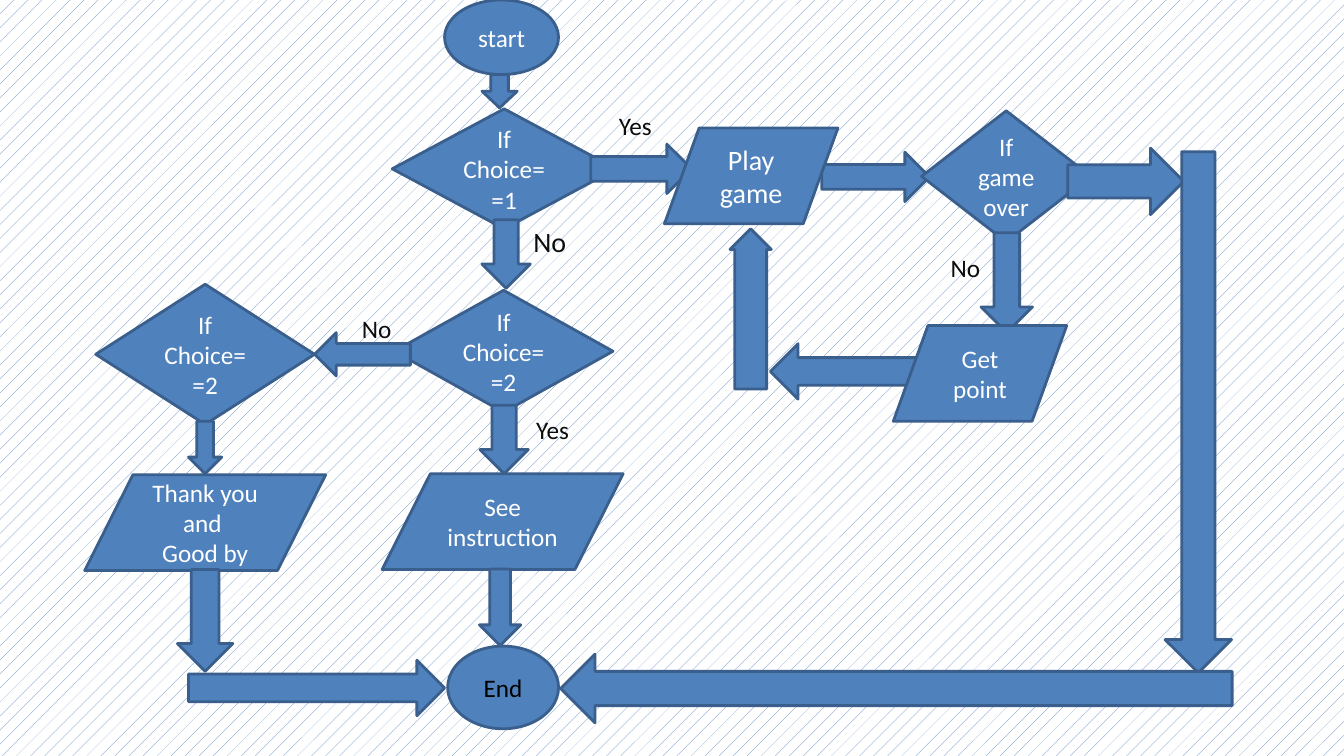
from pptx import Presentation, util as u
from pptx.dml.color import RGBColor
from pptx.enum import dml, shapes, text

INK = {"fill": "4F81BD", "edge": "3A5F8C", "light": "FFFFFF",
       "label": "0D0D0D", "black": "000000"}
FONT = "Calibri"
CELL = u.Inches(0.1)  # one column or row of the grid
S = shapes.MSO_SHAPE
OVAL, TEST, DATA = S.OVAL, S.DIAMOND, S.FLOWCHART_DATA
DOWN, RIGHT = S.DOWN_ARROW, S.RIGHT_ARROW

deck = Presentation()
deck.slide_width, deck.slide_height = u.Inches(13.33), u.Inches(7.5)
slide = deck.slides.add_slide(deck.slide_layouts[2])
title, body = slide.placeholders
title.element.getparent().remove(title.element)


def tint(name):
    return RGBColor.from_string(INK[name])


def setup(item, **form):
    for key, val in form.items():
        setattr(item, key, val)


def place(box, at):
    """Turn grid cells inside a region into slide lengths."""
    x, y, w, h = at
    return [int(n * CELL) for n in (box[0] + x, box[1] + y, w, h)]


def write(shape, words, size, ink, align, before=0):
    frame = shape.text_frame
    frame.word_wrap = True
    frame.text = words
    for para in frame.paragraphs:
        setup(para, alignment=align, space_before=u.Pt(before))
        for run in para.runs:
            setup(run.font, size=u.Pt(size), name=FONT, bold=False)
            run.font.color.rgb = tint(ink)


def block(box, kind, at, turn=0):
    shape = slide.shapes.add_shape(kind, *place(box, at))
    shape.rotation = turn
    shape.shadow.inherit = False
    shape.fill.solid()
    shape.fill.fore_color.rgb = tint("fill")
    shape.line.color.rgb = tint("edge")
    shape.line.width = u.Pt(2)
    return shape


def node(box, kind, at, words, size=18, ink="light"):
    shape = block(box, kind, at)
    write(shape, words, size, ink, text.PP_ALIGN.CENTER)
    shape.text_frame.vertical_anchor = text.MSO_ANCHOR.MIDDLE


def label(box, at, words, before=0):
    shape = slide.shapes.add_textbox(*place(box, at))
    write(shape, words, 18, "label", text.PP_ALIGN.LEFT, before)


def menu(box):
    # Start and first choice
    node(box, OVAL, (36.1, 0, 11.3, 7.4), "start")
    block(box, DOWN, (39.8, 7.4, 3.5, 3.3))
    node(box, TEST, (30.9, 10.8, 22.2, 11.9), "If\nChoice==1")
    block(box, DOWN, (39.8, 21.8, 4.8, 6.8))
    # Second choice
    node(box, TEST, (31.1, 28.8, 21.7, 12.1), "If\nChoice==2")
    block(box, RIGHT, (23.2, 33, 9.5, 4.3), 180)
    label(box, (44.2, 40.6, 6.5, 4), "Yes")
    node(box, DATA, (29.9, 47, 23.9, 9.5), "See instruction")
    block(box, RIGHT, (38.6, 41.2, 6.8, 4.8), 90)
    label(box, (26.9, 30.6, 7.9, 4), "No", 10)
    # Last choice
    node(box, TEST, (1.5, 28.2, 21.7, 13.9), "If\nChoice==2")
    block(box, DOWN, (10.7, 41.8, 3.3, 5.2))
    node(box, DATA, (0.4, 47.1, 23.9, 9.5), "Thank you and \nGood by")
    # Label in the body placeholder
    left, top, wide, high = place(box, (43.9, 21.8, 7.9, 4.4))
    setup(body, left=left, top=top, width=wide, height=high)
    write(body, "No", 20, "label", text.PP_ALIGN.LEFT, 4)
    body.text_frame.vertical_anchor = text.MSO_ANCHOR.TOP


def game(box):
    # Way in and game test
    block(box, RIGHT, (0.6, 4.3, 10, 4.9))
    label(box, (2.4, 0.5, 6.5, 4), "Yes")
    block(box, RIGHT, (23.5, 5.1, 10.7, 4.9))
    node(box, TEST, (33.4, 1, 16.8, 13), "If game over")
    # Loop back to play
    block(box, RIGHT, (36.9, 15.5, 9.9, 5.1), 90)
    back = block(box, DOWN, (14.4, 12.7, 4.1, 15.9), 180)
    back.adjustments[0] = 0.77
    block(box, RIGHT, (18.4, 24.1, 15, 5.5), 180)
    node(box, DATA, (7.9, 2.7, 17.2, 9.5), "Play game", 20)
    node(box, DATA, (30.6, 22.3, 17.2, 9.5), "Get point")
    label(box, (35.3, 14.5, 7.9, 4), "No", 10)
    # Way out
    block(box, RIGHT, (47.9, 4.7, 11.5, 6.6))
    block(box, RIGHT, (35, 27.6, 51.7, 6.6), 90)


def finish(box):
    node(box, OVAL, (29.4, 6.1, 11, 8.2), "End", ink="black")
    for at, turn in (((30.8, 0.2, 7.6, 4.1), 90),
                     ((0.3, 0.8, 10.1, 5.5), 90),
                     ((3.7, 7.5, 25.4, 5.5), 0),
                     ((40.6, 6.9, 66.6, 6.8), 180)):
        block(box, RIGHT, at, turn)


# Background pattern
back = slide.background.fill
back.patterned()
back.pattern = dml.MSO_PATTERN.PERCENT_5
back.fore_color.rgb = tint("fill")
back.back_color.rgb = tint("light")

# Regions, by left column and top row
menu((8, 0))
game((58, 10))
finish((15, 58))
deck.save("out.pptx")
